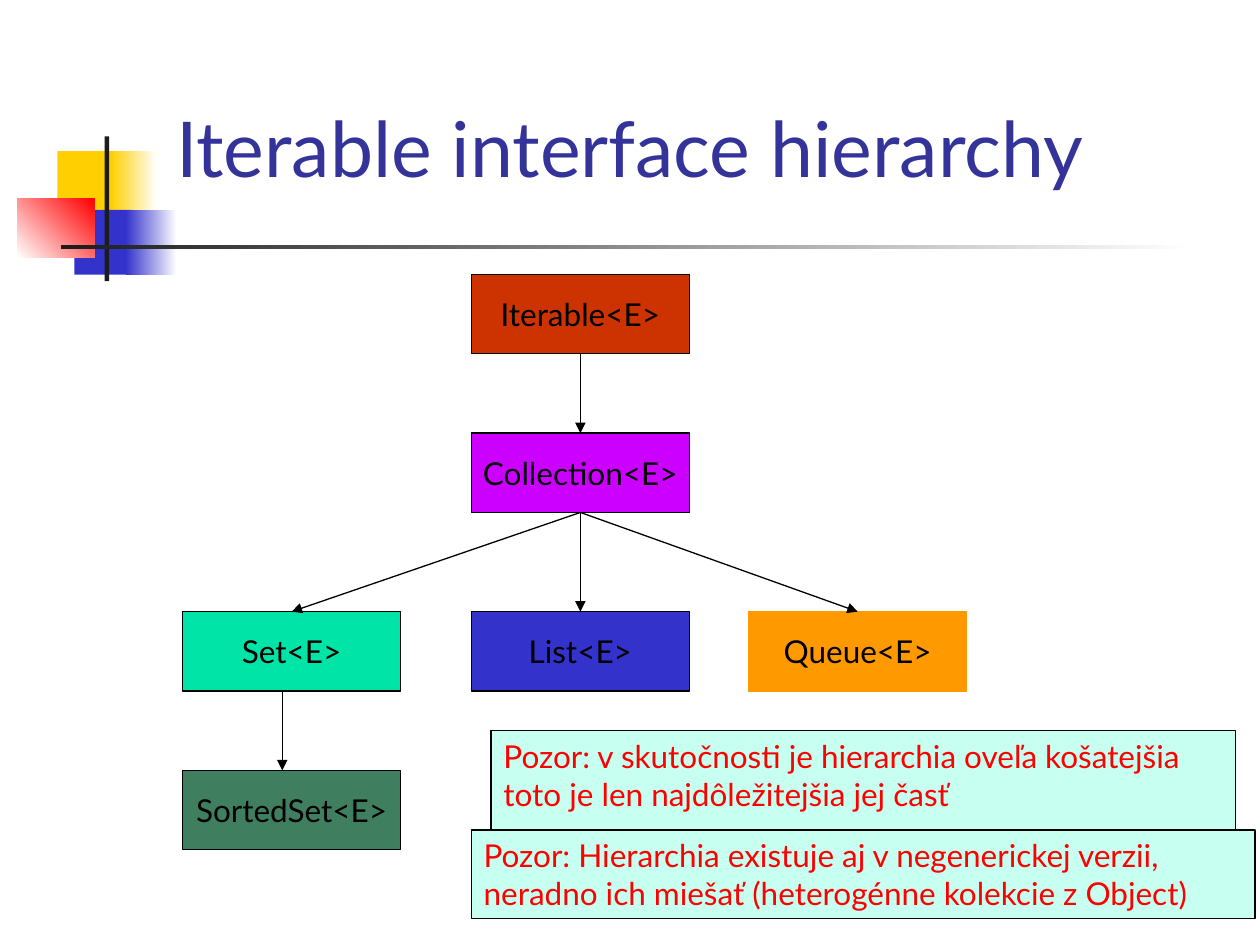
from pptx import Presentation
from pptx.dml.color import RGBColor
from pptx.enum.shapes import MSO_CONNECTOR, MSO_SHAPE
from pptx.enum.text import MSO_ANCHOR, PP_ALIGN
from pptx.oxml.ns import qn
from pptx.util import Cm, Pt
from lxml import etree

RECT, LINE = MSO_SHAPE.RECTANGLE, MSO_CONNECTOR.STRAIGHT
TOP, MIDDLE, LOW = MSO_ANCHOR.TOP, MSO_ANCHOR.MIDDLE, MSO_ANCHOR.BOTTOM
LEFT, CENTER = PP_ALIGN.LEFT, PP_ALIGN.CENTER

BLACK = RGBColor(0, 0, 0)
WHITE = RGBColor(255, 255, 255)
DARK = RGBColor(0x1C, 0x1C, 0x1C)
YELLOW = RGBColor(0xFF, 0xCF, 0x01)
BLUE = RGBColor(0x33, 0x33, 0xCC)
NAVY = RGBColor(0x33, 0x33, 0x99)
RED = RGBColor(0xFF, 0, 0)
RUST = RGBColor(0xCC, 0x33, 0)
PURPLE = RGBColor(0xCC, 0, 0xFF)
GREEN = RGBColor(0, 0xE4, 0xA8)
MOSS = RGBColor(0x3F, 0x7F, 0x5F)
ORANGE = RGBColor(0xFF, 0x99, 0)
MINT = RGBColor(0xC7, 0xFF, 0xF0)

TITLE = "Iterable interface hierarchy"
# left, top, width, height in cm; start colour, end colour, angle
DECOR = [
    ((1.16, 3.05, 1.23, 1.32), YELLOW, None, 0),
    ((2.24, 3.05, 0.92, 1.32), YELLOW, WHITE, 0),
    ((1.5, 4.23, 1.17, 1.31), BLUE, None, 0),
    ((2.54, 4.23, 1.02, 1.31), BLUE, WHITE, 0),
    ((0.35, 4.01, 1.55, 1.18), WHITE, RED, 45),
    ((2.11, 2.75, 0.09, 2.92), DARK, None, 0),
    ((1.23, 4.94, 22.86, 0.09), DARK, WHITE, 0),
]
COLS = [3.68, 9.5, 15.09]
ROWS = [5.53, 8.73, 12.33, 15.53]
NODE_W, NODE_H = 4.4, 1.6
# name: column, row, fill, outline
NODES = {
    "Iterable": (1, 0, RUST, BLACK),
    "Collection": (1, 1, PURPLE, BLACK),
    "Set": (0, 2, GREEN, BLACK),
    "List": (1, 2, BLUE, BLACK),
    "Queue": (2, 2, ORANGE, ORANGE),
    "SortedSet": (0, 3, MOSS, BLACK),
}
LINKS = [("Iterable", "Collection"), ("Collection", "Set"),
         ("Collection", "List"), ("Collection", "Queue")]
SORT_X = 5.69
NOTES = [
    ((9.9, 14.73, 15.01, 2.54), True,
     ["Pozor: v skutočnosti je hierarchia oveľa košatejšia",
      "toto je len najdôležitejšia jej časť"]),
    ((9.5, 16.73, 15.8, 1.79), False,
     ["Pozor: Hierarchia existuje aj v negenerickej verzii,",
      "neradno ich miešať (heterogénne kolekcie z Object)"]),
]


def set_all(target, values):
    for name, value in values.items():
        setattr(target, name, value)


def write(shape, lines, size, color, align, anchor, wrap):
    frame = shape.text_frame
    set_all(frame, {"word_wrap": wrap, "vertical_anchor": anchor})
    frame.text = "\n".join(lines)
    for para in frame.paragraphs:
        para.alignment = align
        set_all(para.font, {"name": "Lato", "size": Pt(size)})
        para.font.color.rgb = color


def add_box(shapes, area, fill, edge=None):
    box = shapes.add_shape(RECT, *map(Cm, area))
    box.shadow.inherit = False
    box.fill.solid()
    box.fill.fore_color.rgb = fill
    if edge is None:
        box.line.fill.background()
    else:
        box.line.color.rgb = edge
        box.line.width = Pt(0.75)
    return box


def fade(box, start, end, angle):
    box.fill.gradient()
    box.fill.gradient_angle = angle
    for stop, color in zip(box.fill.gradient_stops, (start, end)):
        stop.color.rgb = color


def add_arrow(shapes, x, top, end):
    arrow = shapes.add_connector(LINE, Cm(x), Cm(top), Cm(x), Cm(end))
    arrow.line.color.rgb = BLACK
    arrow.line.width = Pt(0.75)
    etree.SubElement(arrow.line._get_or_add_ln(), qn("a:tailEnd"), type="triangle")
    etree.SubElement(arrow._element.spPr, qn("a:effectLst"))
    return arrow


def main():
    deck = Presentation()
    set_all(deck, {"slide_width": Cm(25.4), "slide_height": Cm(19.05)})
    shapes = deck.slides.add_slide(deck.slide_layouts[6]).shapes

    for area, start, end, angle in DECOR:
        box = add_box(shapes, area, start)
        if end is not None:
            fade(box, start, end, angle)

    title = shapes.add_textbox(Cm(3.3), Cm(0.84), Cm(20), Cm(3.18))
    write(title, [TITLE], 44, NAVY, LEFT, LOW, True)

    boxes = {}
    for name, (col, row, fill, edge) in NODES.items():
        box = add_box(shapes, (COLS[col], ROWS[row], NODE_W, NODE_H), fill, edge)
        write(box, [f"{name}<E>"], 18, BLACK, CENTER, MIDDLE, False)
        boxes[name] = box

    for parent, child in LINKS:
        arrow = add_arrow(shapes, 0, 0, 0)
        arrow.begin_connect(boxes[parent], 2)
        arrow.end_connect(boxes[child], 0)
    add_arrow(shapes, SORT_X, ROWS[2] + NODE_H, ROWS[3])

    for area, wrap, lines in NOTES:
        note = add_box(shapes, area, MINT, BLACK)
        write(note, lines, 18, RED, LEFT, TOP, wrap)

    deck.save("out.pptx")


if __name__ == "__main__":
    main()
